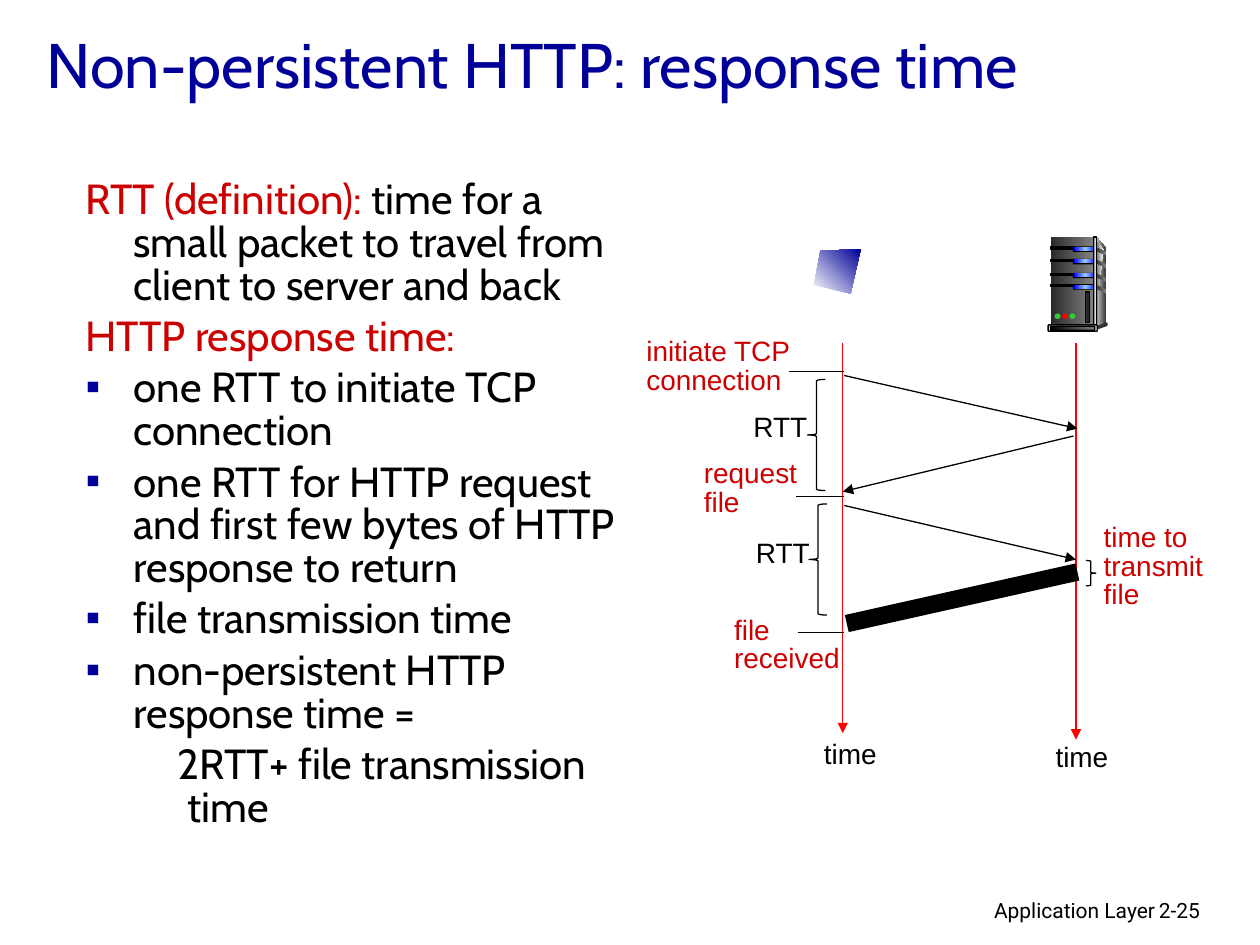
from copy import deepcopy

from lxml import etree
from pptx import Presentation
from pptx.dml.color import RGBColor
from pptx.enum import shapes, text
from pptx.oxml import ns
from pptx.util import Cm, Pt

NAVY = RGBColor(0x00, 0x00, 0x99)
CRIMSON = RGBColor(0xCC, 0x00, 0x00)
RED = RGBColor(0xFF, 0x00, 0x00)
GREEN = RGBColor(0x33, 0xCC, 0x33)
BLUE = RGBColor(0x00, 0x00, 0xFF)
SKY = RGBColor(0x99, 0xCC, 0xFF)
BLACK = RGBColor(0x00, 0x00, 0x00)
COAL = RGBColor(0x29, 0x29, 0x29)
DARK = RGBColor(0x33, 0x33, 0x33)
GREY = RGBColor(0x80, 0x80, 0x80)
SILVER = RGBColor(0xDD, 0xDD, 0xDD)
PALE = RGBColor(0xF8, 0xF8, 0xF8)
WHITE = RGBColor(0xFF, 0xFF, 0xFF)

KIND = shapes.MSO_SHAPE


def add_run(p, words, size=16, color=BLACK, font="Arial", align=text.PP_ALIGN.LEFT,
            spacing=0.85, before=0):
    """Append formatted words to a paragraph."""
    p.alignment = align
    p.line_spacing = spacing
    p.space_before = Pt(before)
    r = p.add_run()
    r.text = words
    r.font.size = Pt(size)
    r.font.name = font
    r.font.color.rgb = color


def add_label(s, at, *lines, **fmt):
    """Add a text box with one paragraph per line."""
    tf = s.shapes.add_textbox(*map(Cm, at)).text_frame
    tf.word_wrap = False
    for i, line in enumerate(lines):
        add_run(tf.add_paragraph() if i else tf.paragraphs[0], line, **fmt)


def place(sp, at, anchor):
    """Move a placeholder and fix its text frame."""
    sp.left, sp.top, sp.width, sp.height = map(Cm, at)
    tf = sp.text_frame
    tf.word_wrap = True
    tf.auto_size = text.MSO_AUTO_SIZE.NONE
    tf.vertical_anchor = anchor
    return tf


def set_indent(p, left, first, bullet=None):
    """Set the indents of a paragraph and its bullet, if any."""
    pPr = p._p.get_or_add_pPr()
    pPr.set("marL", str(Cm(left)))
    pPr.set("indent", str(Cm(first)))
    if bullet:
        clr = etree.SubElement(pPr, ns.qn("a:buClr"))
        etree.SubElement(clr, ns.qn("a:srgbClr"), val=str(NAVY))
        etree.SubElement(pPr, ns.qn("a:buFont"), typeface="Arial")
        etree.SubElement(pPr, ns.qn("a:buChar"), char=bullet)
    else:
        etree.SubElement(pPr, ns.qn("a:buNone"))


def add_line(s, x1, y1, x2, y2, color=BLACK, width=0.75, arrow=False):
    """Add a straight line, with an arrowhead at its end if asked."""
    sp = s.shapes.add_connector(shapes.MSO_CONNECTOR.STRAIGHT, *map(Cm, (x1, y1, x2, y2)))
    sp.line.color.rgb = color
    sp.line.width = Pt(width)
    if arrow:
        etree.SubElement(sp.line._get_or_add_ln(), ns.qn("a:tailEnd"), type="triangle")
    etree.SubElement(sp._element.spPr, ns.qn("a:effectLst"))


def paint(sp, colors, line=False, angle=180):
    """Fill a shape with no colour, one colour or an even gradient."""
    sp.shadow.inherit = False
    if not colors:
        sp.fill.background()
    elif len(colors) == 1:
        sp.fill.solid()
        sp.fill.fore_color.rgb = colors[0]
    else:
        sp.fill.gradient()
        sp.fill.gradient_angle = angle
        stops = sp._element.spPr.find(".//" + ns.qn("a:gsLst"))
        for _ in colors[2:]:
            stops.append(deepcopy(stops[0]))
        for i, (stop, color) in enumerate(zip(sp.fill.gradient_stops, colors)):
            stop.color.rgb = color
            stop.position = i / (len(colors) - 1)
    if line:
        sp.line.color.rgb = BLACK
        sp.line.width = Pt(0.75)
    else:
        sp.line.fill.background()


def add_part(s, kind, at, *colors, line=False, adj=None):
    """Add a preset shape."""
    sp = s.shapes.add_shape(kind, *map(Cm, at))
    if adj is not None:
        sp.adjustments[0] = adj
    paint(sp, colors, line)


def add_outline(s, points, *colors, angle=180):
    """Add a closed polygon."""
    pts = [(Cm(x), Cm(y)) for x, y in points]
    fb = s.shapes.build_freeform(*pts[0])
    fb.add_line_segments(pts[1:])
    paint(fb.convert_to_shape(), colors, angle=angle)


def add_server(s):
    """Draw the server tower."""
    add_outline(s, [(22.1, 4.78), (22.3, 5), (22.3, 6.5), (22.07, 6.58)], DARK, SILVER)
    add_part(s, KIND.RECTANGLE, (21.18, 4.78, 0.86, 1.8), GREY, COAL)
    add_outline(s, [(22.12, 4.88), (22.25, 5.03), (22.15, 5.8), (22.12, 6.53)], PALE, GREY)
    for y in (4.98, 5.23, 5.51, 5.74):
        add_part(s, KIND.RECTANGLE, (21.18, y, 0.48, 0.04), BLACK, line=True)
        add_part(s, KIND.ROUNDED_RECTANGLE, (21.63, y - 0.01, 0.48, 0.11), BLACK, adj=0.11)
        add_part(s, KIND.ROUNDED_RECTANGLE, (21.65, y, 0.46, 0.08), BLUE, SKY, BLUE, adj=0.11)
        add_outline(s, [(22.07, y), (22.3, y + 0.1), (22.3, y + 0.17), (22.07, y + 0.06)],
                    GREY, COAL)
    add_part(s, KIND.RECTANGLE, (22.05, 4.78, 0.05, 1.83), DARK, SILVER, DARK, line=True)
    add_part(s, KIND.OVAL, (22.28, 6.5, 0.05, 0.08), DARK)
    add_outline(s, [(22.1, 6.58), (22.1, 6.65), (22.3, 6.58), (22.3, 6.5)], DARK)
    add_part(s, KIND.ROUNDED_RECTANGLE, (21.13, 6.55, 0.99, 0.13), SILVER, line=True, adj=0.11)
    add_part(s, KIND.ROUNDED_RECTANGLE, (21.18, 6.58, 0.89, 0.08), GREY, BLACK, line=True, adj=0.11)
    for i, color in enumerate((GREEN, RED, GREEN)):
        add_part(s, KIND.OVAL, (21.26 + 0.15 * i, 6.32, 0.12, 0.11), color)
    add_part(s, KIND.RECTANGLE, (21.89, 5.89, 0.08, 0.61), COAL, line=True)


def add_body(sp):
    """Write the definition and the list of response time parts."""
    tf = place(sp, (1.47, 3.51, 11.35, 12.9), text.MSO_ANCHOR.TOP)
    fmt = dict(size=24, font="Cabin")
    p = tf.paragraphs[0]
    set_indent(p, 0.97, -0.97)
    add_run(p, "RTT (definition):", color=CRIMSON, **fmt)
    add_run(p, " time for a small packet to travel from client to server and back", **fmt)
    p = tf.add_paragraph()
    set_indent(p, 0.97, -0.97)
    add_run(p, "HTTP response time:", color=CRIMSON, before=4.8, **fmt)
    for item in ("one RTT to initiate TCP connection",
                 "one RTT for HTTP request and first few bytes of HTTP response to return",
                 "file transmission time",
                 "non-persistent HTTP response time ="):
        p = tf.add_paragraph()
        set_indent(p, 0.97, -0.97, "▪")
        add_run(p, item, before=4.8, **fmt)
    p = tf.add_paragraph()
    p.level = 1
    set_indent(p, 2.06, -0.2)
    add_run(p, "2RTT+ file transmission time", before=4.8, **fmt)


def add_timing(s):
    """Draw the message exchange between client and server."""
    add_line(s, 16.99, 6.91, 16.99, 14.78, RED, arrow=True)
    add_line(s, 21.69, 6.91, 21.69, 14.91, RED, arrow=True)
    for ends in ((17.02, 7.57, 21.72, 8.64), (21.64, 8.79, 16.99, 9.91),
                 (17.02, 10.19, 21.69, 11.28)):
        add_line(s, *ends, arrow=True)
    add_line(s, 21.72, 11.53, 17.07, 12.57, width=10)
    for x, y in ((15.9, 7.49), (16.05, 10.01), (16.08, 12.75)):
        add_line(s, x, y, 17.01, y)
    add_part(s, KIND.RIGHT_BRACE, (21.89, 11.3, 0.2, 0.51), line=True, adj=0.08)
    for x, y in ((16.28, 7.65), (16.31, 10.16)):
        add_part(s, KIND.LEFT_BRACE, (x, y, 0.36, 2.24), line=True, adj=0.08)
    add_label(s, (22, 10.46, 2.69, 1.98), "time to", "transmit", "file", color=CRIMSON)
    add_label(s, (12.78, 6.71, 3.43, 1.42), "initiate TCP", "connection", color=CRIMSON)
    add_label(s, (13.94, 9.17, 2.39, 1.42), "request", "file", color=CRIMSON)
    add_label(s, (14.55, 12.32, 2.64, 1.42), "file", "received", color=CRIMSON)
    add_label(s, (14.94, 8.23, 1.6, 0.84), "RTT")
    add_label(s, (14.99, 10.77, 1.6, 0.84), "RTT")
    add_label(s, (16.36, 14.83, 1.57, 0.84), "time")
    add_label(s, (21.03, 14.78, 1.57, 0.94), "time", spacing=1)


def main():
    """Build the slide and save it."""
    prs = Presentation()
    prs.slide_width, prs.slide_height = Cm(25.4), Cm(19.05)
    s = prs.slides.add_slide(prs.slide_layouts[1])
    tf = place(s.shapes.title, (0.69, 0, 22.83, 2.57), text.MSO_ANCHOR.MIDDLE)
    add_run(tf.paragraphs[0], "Non-persistent HTTP: response time", size=36, color=NAVY,
            font="Cabin", spacing=1)
    add_body(s.placeholders[1])
    add_timing(s)
    add_server(s)
    add_outline(s, [(17.35, 5.03), (16.54, 5.05), (16.41, 5.74), (17.15, 5.92)],
                WHITE, NAVY, angle=45)
    footer = dict(size=12, font="Roboto", spacing=1)
    add_label(s, (15.49, 17.96, 8.05, 0.79), "Application Layer",
              align=text.PP_ALIGN.RIGHT, **footer)
    add_label(s, (23.11, 17.96, 1.88, 0.76), "2-25", **footer)
    for sp in s.shapes:
        if sp.has_text_frame and sp.shape_type == shapes.MSO_SHAPE_TYPE.TEXT_BOX:
            sp.text_frame.word_wrap = sp.width > Cm(5)
    prs.save("out.pptx")


if __name__ == "__main__":
    main()
